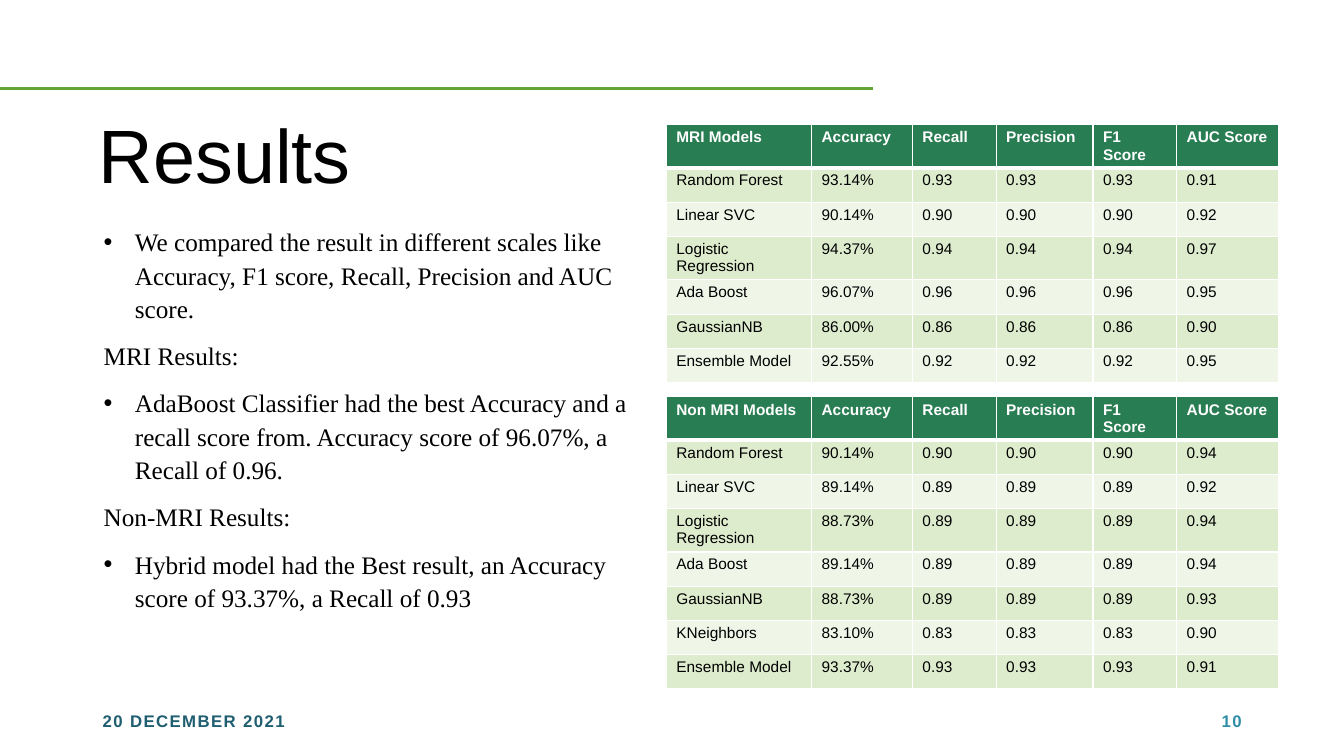
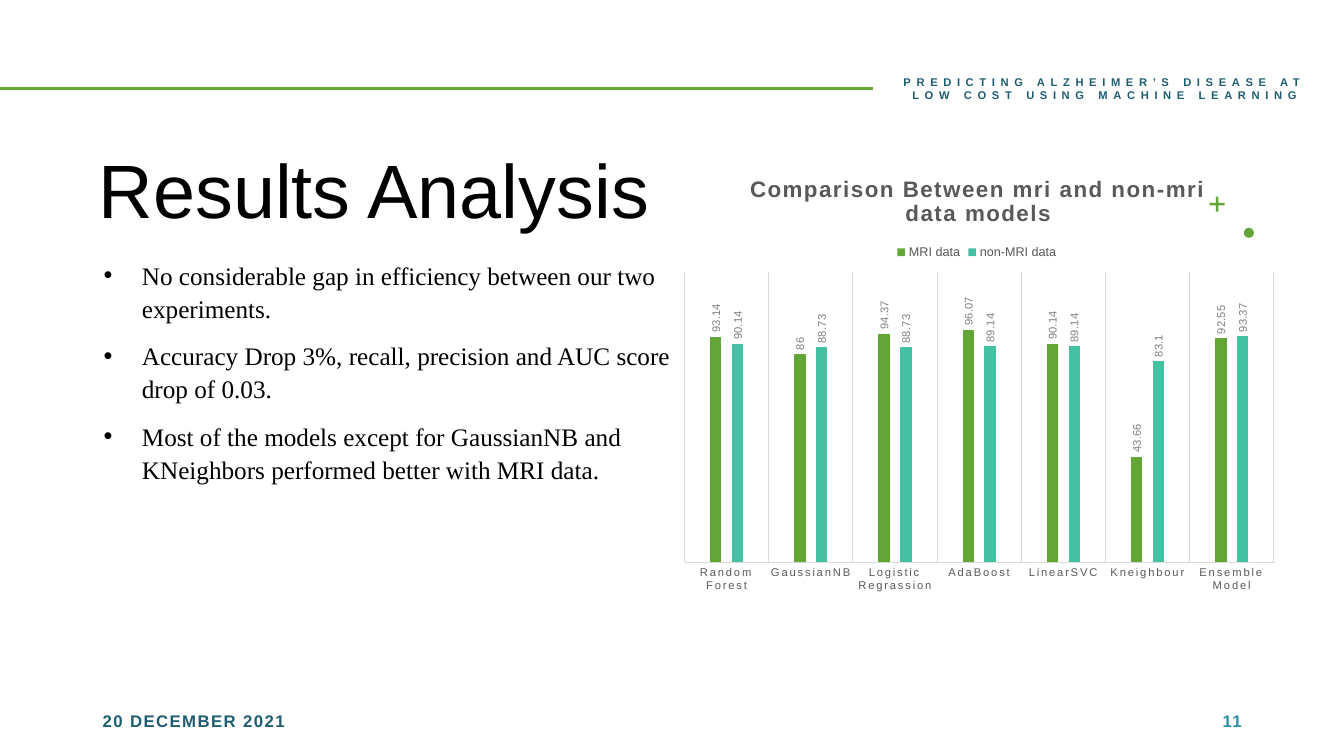
from lxml import etree
from pptx import Presentation, util as u
from pptx.chart.data import CategoryChartData
from pptx.dml.color import RGBColor
from pptx.enum import chart as charts, shapes, text
from pptx.oxml import parse_xml
from pptx.oxml.ns import nsdecls, qn

COLORS = {
    "black": "000000", "white": "FFFFFF", "green": "63A537", "mint": "44C1A3",
    "header": "297D53", "band_dark": "DEECCE", "band_light": "EFF6E8",
    "footer": "1E5E70", "number": "2E8EA8",
    "gray": "595959", "label": "808080", "grid": "D9D9D9",
}
SLIDE_WIDTH, SLIDE_HEIGHT = u.Inches(13.333), u.Inches(7.5)
GRID_COLUMNS, GRID_ROWS = 160, 90
SANS, SERIF = "Arial", "Times New Roman"

FOOTER_TOP, FOOTER_HEIGHT = 83.4, 4.8
TABLE_LEFT, TABLE_WIDTH = 79.32, 72.9
COLUMN_WEIGHTS = [1.44, 1, 0.83, 0.96, 0.83, 1.01]
ROW_HEIGHT, TALL_ROW_HEIGHT = 4.08, 5.16
HEADINGS = ["Accuracy", "Recall", "Precision", "F1 Score", "AUC Score"]

MRI_SCORES = [
    ("Random Forest", "93.14%", "0.93", "0.91"),
    ("Linear SVC", "90.14%", "0.90", "0.92"),
    ("Logistic Regression", "94.37%", "0.94", "0.97"),
    ("Ada Boost", "96.07%", "0.96", "0.95"),
    ("GaussianNB", "86.00%", "0.86", "0.90"),
    ("Ensemble Model", "92.55%", "0.92", "0.95"),
]
NON_MRI_SCORES = [
    ("Random Forest", "90.14%", "0.90", "0.94"),
    ("Linear SVC", "89.14%", "0.89", "0.92"),
    ("Logistic Regression", "88.73%", "0.89", "0.94"),
    ("Ada Boost", "89.14%", "0.89", "0.94"),
    ("GaussianNB", "88.73%", "0.89", "0.93"),
    ("KNeighbors", "83.10%", "0.83", "0.90"),
    ("Ensemble Model", "93.37%", "0.93", "0.91"),
]
RESULTS_TEXT = [
    ("We compared the result in different scales like Accuracy, F1 score, "
     "Recall, Precision and AUC score.", True),
    ("MRI Results:", False),
    ("AdaBoost Classifier had the best Accuracy and a recall score from. "
     "Accuracy score of 96.07%, a Recall of 0.96.", True),
    ("Non-MRI Results:", False),
    ("Hybrid model had the Best result, an Accuracy score of 93.37%, "
     "a Recall of 0.93", True),
]
ANALYSIS_TEXT = [
    ("No considerable gap in efficiency between our two experiments.", True),
    ("Accuracy Drop 3%, recall, precision and AUC score drop of 0.03.", True),
    ("Most of the models except for GaussianNB and KNeighbors performed "
     "better with MRI data.", True),
]
CHART_MODELS = ["Random Forest", "GaussianNB", "Logistic Regrassion", "AdaBoost",
                "LinearSVC", "Kneighbour", "Ensemble Model"]
CHART_SERIES = [
    ("MRI data", "green", [93.14, 86, 94.37, 96.07, 90.14, 43.66, 92.55]),
    ("non-MRI data", "mint", [90.14, 88.73, 88.73, 89.14, 89.14, 83.1, 93.37]),
]


def rgb(name):
    """Return a palette colour."""
    return RGBColor.from_string(COLORS[name])


def across(columns):
    """Turn grid columns into a length."""
    return u.Emu(round(SLIDE_WIDTH * columns / GRID_COLUMNS))


def down(rows):
    """Turn grid rows into a length."""
    return u.Emu(round(SLIDE_HEIGHT * rows / GRID_ROWS))


def place(box):
    """Turn a grid box into left, top, width and height."""
    left, top, width, height = box
    return across(left), down(top), across(width), down(height)


def style_font(font, size, color, bold=False, name=SANS):
    """Set the face, size, colour and weight of a font."""
    font.name, font.size, font.bold = name, u.Pt(size), bold
    font.color.rgb = rgb(color)


def track(element, points):
    """Set letter spacing on the default run properties below an element."""
    for properties in element.iter(qn("a:defRPr")):
        properties.set("spc", str(round(points * 100)))


def add_text(slide, box, words, size, color, bold=False, spacing=0,
             align=text.PP_ALIGN.LEFT, anchor=text.MSO_ANCHOR.MIDDLE):
    """Add a one-paragraph text box and return its paragraph."""
    frame = slide.shapes.add_textbox(*place(box)).text_frame
    frame.word_wrap, frame.vertical_anchor = True, anchor
    paragraph = frame.paragraphs[0]
    paragraph.text, paragraph.alignment = words, align
    style_font(paragraph.font, size, color, bold)
    if spacing:
        track(paragraph._p, spacing)
    return paragraph


def add_title(slide, box, words):
    """Add the slide title at the bottom of its box."""
    paragraph = add_text(slide, box, words, 54, "black", anchor=text.MSO_ANCHOR.BOTTOM)
    paragraph.line_spacing = 0.9


def add_body(slide, box, lines, indent):
    """Add body paragraphs, with a hanging bullet where asked."""
    frame = slide.shapes.add_textbox(*place(box)).text_frame
    frame.word_wrap = True
    for index, (words, bulleted) in enumerate(lines):
        paragraph = frame.add_paragraph() if index else frame.paragraphs[0]
        paragraph.text = words
        paragraph.line_spacing, paragraph.space_before = 1.1, u.Pt(10)
        if bulleted:
            properties = paragraph._p.get_or_add_pPr()
            properties.set("marL", str(u.Inches(indent)))
            properties.set("indent", str(-u.Inches(indent)))
            etree.SubElement(properties, qn("a:buFont")).set("typeface", SANS)
            etree.SubElement(properties, qn("a:buChar")).set("char", "•")
        style_font(paragraph.font, 18, "black", name=SERIF)


def add_frame(presentation, number):
    """Add a blank slide with the top rule, ornaments, date and slide number."""
    slide = presentation.slides.add_slide(presentation.slide_layouts[6])
    rule = slide.shapes.add_connector(
        shapes.MSO_CONNECTOR.STRAIGHT, 0, down(10.56), across(103.9), down(10.56))
    rule.line.color.rgb, rule.line.width = rgb("green"), u.Pt(2)
    etree.SubElement(rule._element.spPr, qn("a:effectLst"))
    add_ornaments(slide)
    add_text(slide, (11.04, FOOTER_TOP, 36, FOOTER_HEIGHT), "20 DECEMBER 2021",
             12, "footer", True, 1)
    add_text(slide, (113, FOOTER_TOP, 36, FOOTER_HEIGHT), str(number),
             12, "number", True, 1, text.PP_ALIGN.RIGHT)
    return slide


def add_ornaments(slide):
    """Add the small plus and dot."""
    for kind, box in ((shapes.MSO_SHAPE.OVAL, (148.08, 27.12, 1.2, 1.2)),
                      (shapes.MSO_SHAPE.CROSS, (144, 23.4, 1.8, 1.8))):
        shape = slide.shapes.add_shape(kind, *place(box))
        shape.shadow.inherit = False
        shape.fill.solid()
        shape.fill.fore_color.rgb = rgb("green")
        shape.line.fill.background()
        if kind == shapes.MSO_SHAPE.CROSS:
            shape.adjustments[0] = 0.42


def add_border(cell, side, points):
    """Draw a white border on one side of a cell."""
    line = etree.SubElement(cell._tc.get_or_add_tcPr(), qn(f"a:ln{side}"))
    line.set("w", str(u.Pt(points)))
    fill = etree.SubElement(line, qn("a:solidFill"))
    etree.SubElement(fill, qn("a:srgbClr")).set("val", COLORS["white"])


def add_scores(slide, left, top, width, heading, scores):
    """Add a banded table of model scores."""
    rows = [[heading, *HEADINGS]]
    rows += [[model, accuracy, recall, recall, recall, auc]
             for model, accuracy, recall, auc in scores]
    heights = [TALL_ROW_HEIGHT if row[0] == "Logistic Regression" else ROW_HEIGHT
               for row in rows]
    table = slide.shapes.add_table(
        len(rows), len(rows[0]), *place((left, top, width, sum(heights)))).table
    for column, weight in zip(table.columns, COLUMN_WEIGHTS):
        column.width = across(width * weight / sum(COLUMN_WEIGHTS))
    for index, (row, values) in enumerate(zip(table.rows, rows)):
        row.height = down(heights[index])
        is_header = index == 0
        fill = "header" if is_header else ("band_light", "band_dark")[index % 2]
        for cell, value in zip(row.cells, values):
            cell.margin_top = u.Inches(0.05 if is_header else 0.04)
            cell.margin_bottom = u.Inches(0.02)
            add_border(cell, "L", 1)
            add_border(cell, "R", 1)
            if is_header:
                add_border(cell, "T", 1)
            add_border(cell, "B", 3 if is_header else 1)
            cell.fill.solid()
            cell.fill.fore_color.rgb = rgb(fill)
            paragraph = cell.text_frame.paragraphs[0]
            paragraph.text = value
            style_font(paragraph.font, 11, "white" if is_header else "black", is_header)


def set_layout(element, after=None, inner=False, **shares):
    """Place a chart part by shares of the chart's size."""
    for old in element.findall(qn("c:layout")):
        element.remove(old)
    target = '<c:layoutTarget val="inner"/>' if inner else ""
    modes = "".join(f'<c:{key}Mode val="edge"/>' for key in "xy")
    sizes = "".join(f'<c:{key} val="{value}"/>' for key, value in shares.items())
    layout = parse_xml(f'<c:layout {nsdecls("c")}><c:manualLayout>{target}{modes}{sizes}'
                       '</c:manualLayout></c:layout>')
    if after:
        element.find(qn(after)).addnext(layout)
    else:
        element.insert(0, layout)


def add_comparison(slide, box):
    """Add the column chart that compares both experiments."""
    data = CategoryChartData()
    data.categories = CHART_MODELS
    for name, _, values in CHART_SERIES:
        data.add_series(name, values)
    chart = slide.shapes.add_chart(
        charts.XL_CHART_TYPE.COLUMN_CLUSTERED, *place(box), data).chart
    style_font(chart.font, 10, "black")

    chart.has_title = True
    paragraph = chart.chart_title.text_frame.paragraphs[0]
    paragraph.text = "Comparison Between mri and non-mri data models"
    style_font(paragraph.font, 16, "gray", True)
    track(paragraph._p, 1.2)
    set_layout(chart.chart_title._element, "c:tx", x=0.12, y=0.03)

    chart.has_legend = True
    chart.legend.position = charts.XL_LEGEND_POSITION.TOP
    chart.legend.include_in_layout = False
    style_font(chart.legend.font, 9, "gray")
    set_layout(chart.legend._element, "c:legendPos", x=0.36, y=0.19)

    plot = chart.plots[0]
    plot.gap_width, plot.overlap, plot.vary_by_categories = 444, -90, False
    for series, (_, color, _) in zip(plot.series, CHART_SERIES):
        series.format.fill.solid()
        series.format.fill.fore_color.rgb = rgb(color)
        labels = series.data_labels
        labels.show_value = True
        labels.position = charts.XL_LABEL_POSITION.OUTSIDE_END
        style_font(labels.font, 8, "label")
        body = labels._element.find(qn("c:txPr")).find(qn("a:bodyPr"))
        body.set("rot", "-5400000")
        body.set("vert", "horz")

    models = chart.category_axis
    models.major_tick_mark = charts.XL_TICK_MARK.NONE
    models.has_major_gridlines = True
    for line in (models.format.line, models.major_gridlines.format.line):
        line.color.rgb, line.width = rgb("grid"), u.Pt(0.75)
    style_font(models.tick_labels.font, 8, "gray")
    track(models._element, 1.2)

    values = chart.value_axis
    values.visible, values.has_major_gridlines = False, False
    values.minimum_scale, values.maximum_scale = 0, 120
    set_layout(chart._chartSpace.chart.plotArea, inner=True, x=0.02, y=0.26, w=0.96, h=0.66)


def build_results(presentation):
    """Build the slide with both score tables."""
    slide = add_frame(presentation, 10)
    add_title(slide, (10.56, 13, 81.24, 11.4), "Results")
    add_body(slide, (11.16, 26.04, 68.16, 54.96), RESULTS_TEXT, 0.31)
    add_scores(slide, TABLE_LEFT, 14.76, TABLE_WIDTH, "MRI Models", MRI_SCORES)
    add_scores(slide, TABLE_LEFT, 47.16, TABLE_WIDTH, "Non MRI Models", NON_MRI_SCORES)


def build_analysis(presentation):
    """Build the slide with the comparison chart."""
    slide = add_frame(presentation, 11)
    add_title(slide, (10.56, 13.92, 81.24, 14.64), "Results Analysis")
    add_body(slide, (11.16, 30, 74.64, 49.44), ANALYSIS_TEXT, 0.38)
    add_text(slide, (104.52, 8.16, 54, 4.8),
             "PREDICTING ALZHEIMER’S DISEASE AT LOW COST USING MACHINE LEARNING",
             8, "footer", True, 4, text.PP_ALIGN.CENTER)
    add_comparison(slide, (80.04, 18.72, 73.08, 52.44))


def main():
    """Build and save the presentation."""
    presentation = Presentation()
    presentation.slide_width, presentation.slide_height = SLIDE_WIDTH, SLIDE_HEIGHT
    build_results(presentation)
    build_analysis(presentation)
    presentation.save("out.pptx")


if __name__ == "__main__":
    main()
